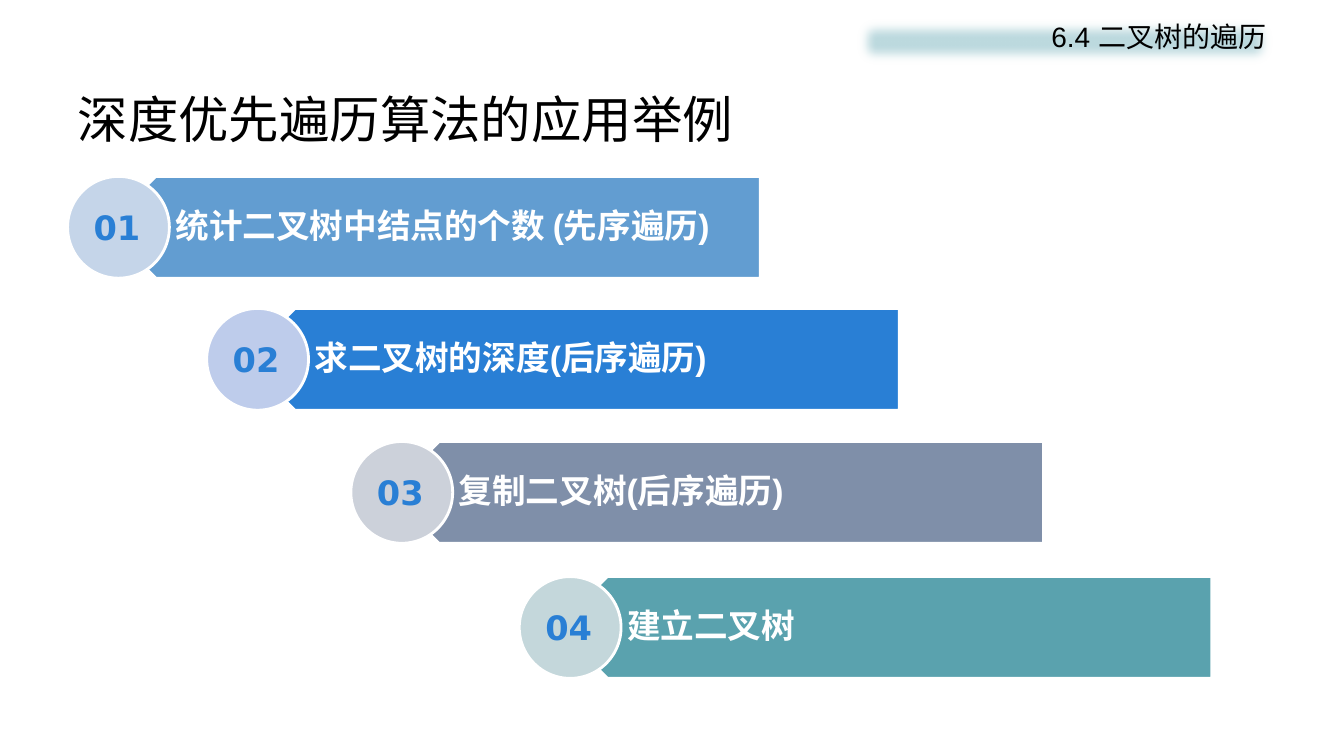
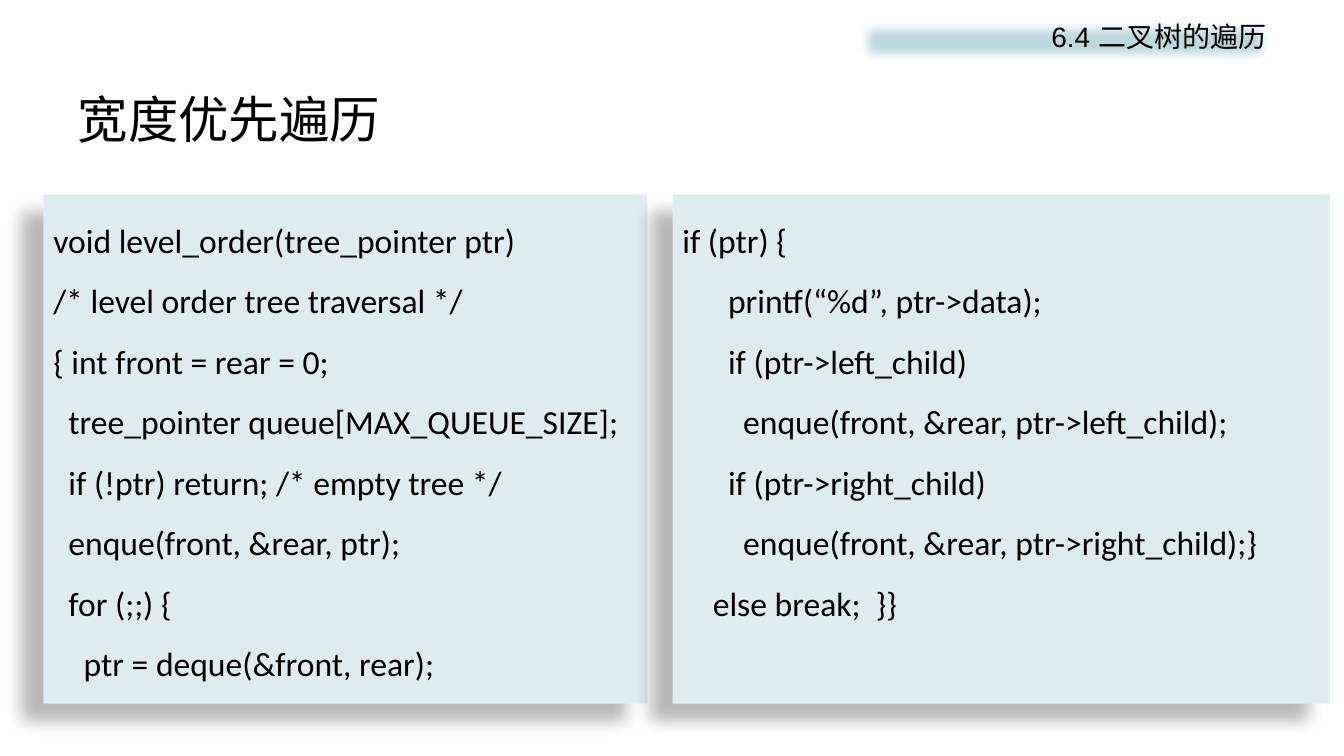
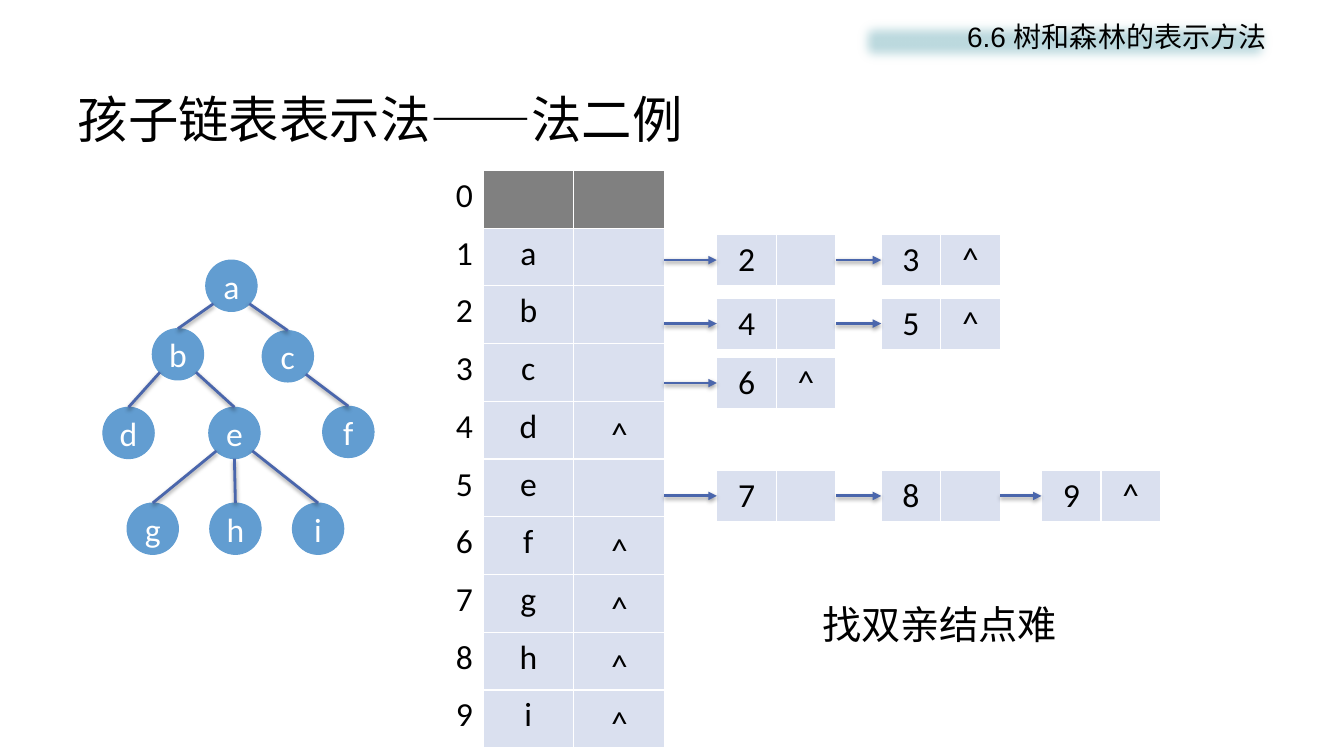
from lxml import etree
from pptx import Presentation
from pptx.dml.color import RGBColor
from pptx.enum import shapes, text
from pptx.oxml import ns
from pptx.util import Inches, Pt

rgb = RGBColor.from_string
BLACK, WHITE = "000000", "FFFFFF"
BAND, PANEL = "BDDADF", "DEECEF"
NODE, LINK, CELL, UNUSED = "629DD1", "4A66AC", "DAE0EF", "808080"
NUMBER = "297FD5"
CJK = "Noto Sans CJK SC"
LEFT, CENTER, RIGHT = text.PP_ALIGN.LEFT, text.PP_ALIGN.CENTER, text.PP_ALIGN.RIGHT
TOP, MIDDLE = text.MSO_ANCHOR.TOP, text.MSO_ANCHOR.MIDDLE
RECT, OVAL = shapes.MSO_SHAPE.RECTANGLE, shapes.MSO_SHAPE.OVAL

SHADOW = ('<a:outerShdw blurRad="{}" dist="{}" dir="{}" algn="t" rotWithShape="0">'
          '<a:srgbClr val="000000"><a:alpha val="{}"/></a:srgbClr></a:outerShdw>')
PANEL_SHADOW = SHADOW.format(Pt(11.8), Pt(19.7), 141 * 60000, 28000)
LINE_SHADOW = SHADOW.format(Pt(3.1), Pt(1.6), 90 * 60000, 38000)
SOFT_EDGE = f'<a:softEdge rad="{Pt(9)}"/>'


def set_effect(shape, effect):
    """Replace the theme effect of a shape or connector with the given one."""
    properties = shape._element.spPr
    for old in properties.findall(ns.qn("a:effectLst")):
        properties.remove(old)
    properties.append(etree.fromstring(
        f'<a:effectLst {ns.nsdecls("a")}>{effect}</a:effectLst>'))


def write(frame, words, font="Calibri", size=24, color=BLACK, bold=False,
          align=LEFT, spacing=None):
    """Fill a text frame, one paragraph a line, in a single style."""
    frame.text = words
    for para in frame.paragraphs:
        para.alignment = align
        para.line_spacing = spacing
        for span in para.runs:
            span.font.name, span.font.size, span.font.bold = font, Pt(size), bold
            span.font.color.rgb = rgb(color)
            east_asian = etree.SubElement(span.font._element, ns.qn("a:ea"))
            east_asian.set("typeface", CJK)


deck = Presentation()
deck.slide_width, deck.slide_height = Inches(13.33), Inches(7.5)

# Title and section band of every slide
pages = []
for heading, section in [
    ("深度优先遍历算法的应用举例", "6.4 二叉树的遍历"),
    ("宽度优先遍历", "6.4 二叉树的遍历"),
    ("孩子链表表示法——法二例", "6.6 树和森林的表示方法"),
]:
    page = deck.slides.add_slide(deck.slide_layouts[5])
    title = page.shapes.title
    title.left, title.top = Inches(0.67), Inches(0.8)
    title.width, title.height = Inches(12), Inches(0.75)
    title.text_frame.vertical_anchor = MIDDLE
    title.text_frame.auto_size = text.MSO_AUTO_SIZE.NONE
    write(title.text_frame, heading, CJK, 36)

    band = page.shapes.add_shape(RECT, Inches(8.46), Inches(0.14), Inches(4.2), Inches(0.54))
    band.fill.solid()
    band.fill.fore_color.rgb = rgb(BAND)
    band.line.fill.background()
    set_effect(band, SOFT_EDGE)
    band.text_frame.vertical_anchor = TOP
    band.text_frame.word_wrap = True
    write(band.text_frame, section, "Arial", 20, align=RIGHT)
    pages.append(page)
examples_page, code_page, lists_page = pages

# Slide 1: staircase of numbered bars
DISC, BAR_WIDTH = 1.01, 6.5
for number, (left, top, bar_color, disc_color, words) in enumerate([
    (0.67, 1.75, "629DD1", "C5D5E9", "统计二叉树中结点的个数 (先序遍历)"),
    (2.05, 3.06, "297FD5", "BECCEB", "求二叉树的深度(后序遍历)"),
    (3.48, 4.38, "7F8FA9", "CCD1DA", "复制二叉树(后序遍历)"),
    (5.15, 5.72, "5AA2AE", "C4D7DB", "建立二叉树"),
], start=1):
    start, middle, bottom = left + 0.37, top + DISC / 2, top + DISC
    shoulder, end = start + DISC / 2, start + BAR_WIDTH
    outline = examples_page.shapes.build_freeform(Inches(end), Inches(bottom))
    outline.add_line_segments([
        (Inches(x), Inches(y)) for x, y in
        [(shoulder, bottom), (start, middle), (shoulder, top), (end, top)]])
    bar = outline.convert_to_shape()
    disc = examples_page.shapes.add_shape(
        OVAL, Inches(left), Inches(top), Inches(DISC), Inches(DISC))
    for shape, color in [(bar, bar_color), (disc, disc_color)]:
        shape.shadow.inherit = False
        shape.fill.solid()
        shape.fill.fore_color.rgb = rgb(color)
        shape.line.color.rgb = rgb(WHITE)
        shape.line.width = Pt(2)
    frame = bar.text_frame
    frame.word_wrap = True
    frame.vertical_anchor = MIDDLE
    frame.margin_left, frame.margin_right = Inches(0.7), Inches(0.19)
    frame.margin_top = frame.margin_bottom = Inches(0.1)
    write(frame, words, "Arial", color=WHITE, bold=True, spacing=0.9)
    box = examples_page.shapes.add_textbox(
        Inches(left + 0.16), Inches(top + 0.25), Inches(0.68), Inches(0.5))
    box.text_frame.word_wrap = False
    write(box.text_frame, f"{number:02}", "DejaVu Sans", color=NUMBER, bold=True)

# Slide 2: two code panels
LEFT_CODE = """void level_order(tree_pointer ptr)
/* level order tree traversal */
{ int front = rear = 0;
  tree_pointer queue[MAX_QUEUE_SIZE];
  if (!ptr) return; /* empty tree */
  enque(front, &rear, ptr);
  for (;;) {
    ptr = deque(&front, rear);"""
RIGHT_CODE = """if (ptr) {
      printf(“%d”, ptr->data);
      if (ptr->left_child)
        enque(front, &rear, ptr->left_child);
      if (ptr->right_child)
        enque(front, &rear, ptr->right_child);}
    else break;  }}"""
for left, width, code in [(0.43, 5.99, LEFT_CODE), (6.67, 6.52, RIGHT_CODE)]:
    panel = code_page.shapes.add_shape(
        RECT, Inches(left), Inches(1.93), Inches(width), Inches(5.05))
    panel.fill.solid()
    panel.fill.fore_color.rgb = rgb(PANEL)
    panel.line.fill.background()
    set_effect(panel, PANEL_SHADOW)
    panel.text_frame.word_wrap = True
    panel.text_frame.vertical_anchor = TOP
    write(panel.text_frame, code, spacing=1.5)

# Slide 3: tree nodes, with edges from the rim of a parent to the top of a child
NODE_SIZE = 0.51
RADIUS = NODE_SIZE / 2
nodes = {
    "a": (2.04, 2.58), "b": (1.51, 3.26), "c": (2.6, 3.28),
    "d": (1.02, 4.04), "e": (2.07, 4.04), "f": (3.2, 4.03),
    "g": (1.26, 4.99), "h": (2.08, 4.99), "i": (2.9, 4.99),
}
for name, (left, top) in nodes.items():
    node = lists_page.shapes.add_shape(
        OVAL, Inches(left), Inches(top), Inches(NODE_SIZE), Inches(NODE_SIZE))
    node.shadow.inherit = False
    node.fill.solid()
    node.fill.fore_color.rgb = rgb(NODE)
    node.line.color.rgb = rgb(NODE)
    node.line.width = Pt(0.75)
    node.text_frame.word_wrap = False
    node.text_frame.vertical_anchor = MIDDLE
    write(node.text_frame, name, color=WHITE, align=CENTER)

lines = []
for parent, child, side in [
    ("a", "b", -1), ("a", "c", 1), ("b", "d", -1), ("b", "e", 1),
    ("c", "f", 1), ("e", "g", -1), ("e", "h", 0), ("e", "i", 1),
]:
    (parent_x, parent_y), (child_x, child_y) = nodes[parent], nodes[child]
    drop = RADIUS * 0.7 if side else RADIUS
    lines.append((parent_x + RADIUS + side * drop, parent_y + RADIUS + drop,
                  child_x + RADIUS, child_y, False))

# Tables: the head array, then the linked list of children of each node
HEAD_TOP, HEAD_ROW, HEAD_END = 1.69, 0.57, 6.59
HEAD_ROW = 5.73 / 10
CELL_WIDTH, CELL_HEIGHT = 0.59, 0.5
LINK_LEFTS = [7.11, 8.74, 10.33]
head_rows = [[("0", None, RIGHT), ("", UNUSED, CENTER), ("", UNUSED, CENTER)]]
for index, name in enumerate(nodes, start=1):
    head_rows.append([(str(index), None, RIGHT), (name, CELL, CENTER), ("", CELL, CENTER)])
grids = [(3.89, HEAD_TOP, 0.9, HEAD_ROW, head_rows)]
for top, children in [(2.33, "23"), (2.96, "45"), (3.55, "6"), (4.67, "789")]:
    tail_x = HEAD_END
    for position, (left, child) in enumerate(zip(LINK_LEFTS, children), start=1):
        mark = "^" if position == len(children) else ""
        grids.append((left, top, CELL_WIDTH, CELL_HEIGHT,
                      [[(child, CELL, CENTER), (mark, CELL, CENTER)]]))
        arrow_y = top + CELL_HEIGHT / 2
        lines.append((tail_x, arrow_y, left, arrow_y, True))
        tail_x = left + 2 * CELL_WIDTH

for left, top, column_width, row_height, rows in grids:
    columns = len(rows[0])
    table = lists_page.shapes.add_table(
        len(rows), columns, Inches(left), Inches(top),
        Inches(column_width * columns), Inches(row_height * len(rows))).table
    table.first_row = table.horz_banding = False
    for row_index, row in enumerate(rows):
        for column_index, (words, color, align) in enumerate(row):
            cell = table.cell(row_index, column_index)
            properties = cell._tc.get_or_add_tcPr()
            for side in "LRTB":
                properties.append(etree.fromstring(
                    f'<a:ln{side} {ns.nsdecls("a")} w="{Pt(1)}"><a:solidFill>'
                    f'<a:srgbClr val="{WHITE}"/></a:solidFill></a:ln{side}>'))
            if color:
                cell.fill.solid()
                cell.fill.fore_color.rgb = rgb(color)
            else:
                cell.fill.background()
            write(cell.text_frame, words, align=align)

for start_x, start_y, end_x, end_y, is_arrow in lines:
    line = lists_page.shapes.add_connector(
        shapes.MSO_CONNECTOR.STRAIGHT,
        Inches(start_x), Inches(start_y), Inches(end_x), Inches(end_y))
    line.line.color.rgb = rgb(LINK)
    line.line.width = Pt(2)
    if is_arrow:
        etree.SubElement(line.line._get_or_add_ln(), ns.qn("a:tailEnd")).set("type", "triangle")
    set_effect(line, LINE_SHADOW)

# Empty-list marks beside the leaves, and the closing remark
labels = [(5.96, HEAD_TOP + HEAD_ROW * row + 0.07, 0.37, 0.5, "^", "Calibri", 24)
          for row in (4, 6, 7, 8, 9)]
labels.append((8.04, 5.91, 2.56, 0.57, "找双亲结点难", "Arial", 28))
for left, top, width, height, words, font, size in labels:
    box = lists_page.shapes.add_textbox(
        Inches(left), Inches(top), Inches(width), Inches(height))
    box.text_frame.word_wrap = False
    write(box.text_frame, words, font, size, align=CENTER)

deck.save("out.pptx")
